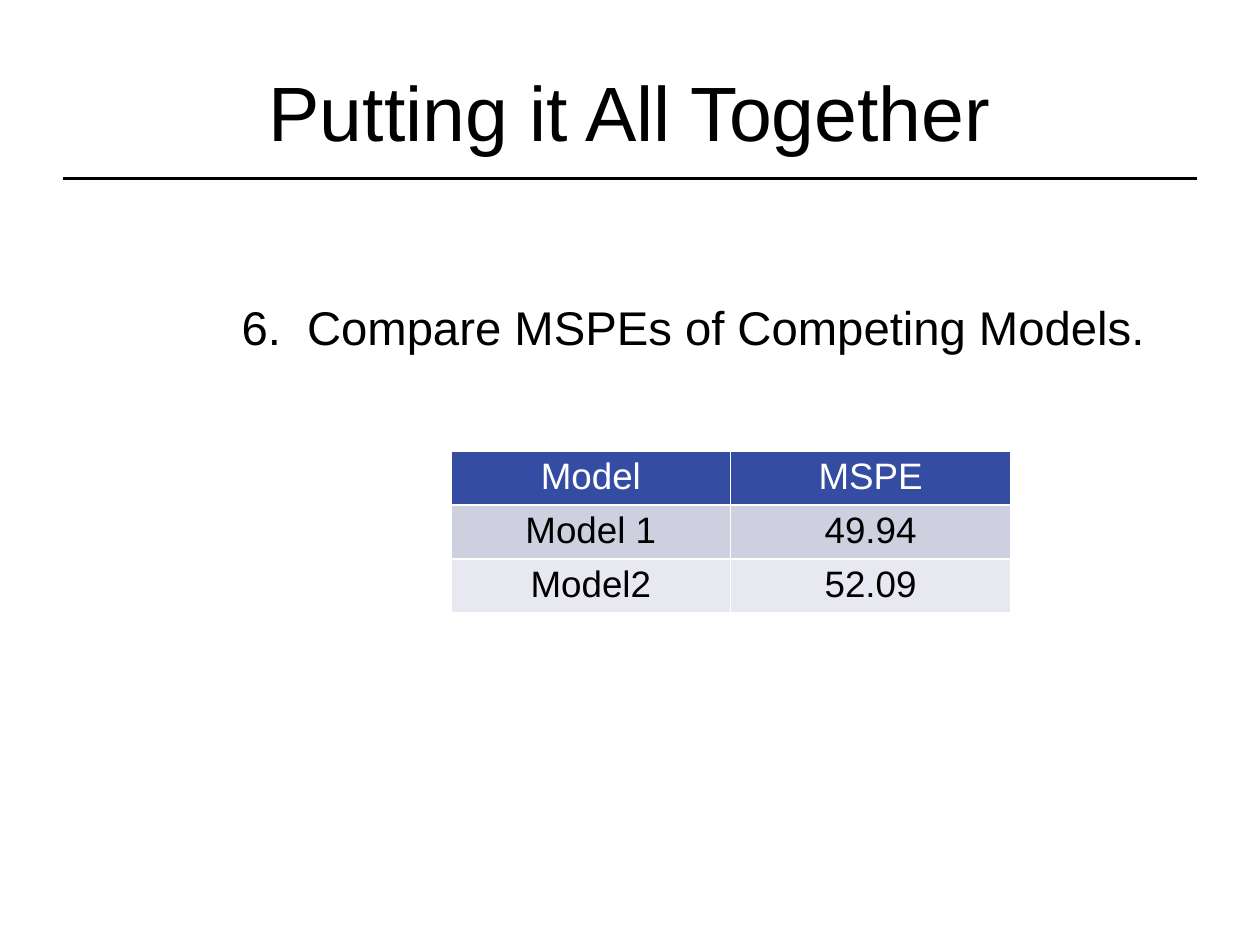
from lxml.etree import SubElement
from pptx import Presentation
from pptx.dml.color import RGBColor
from pptx.enum.shapes import MSO_CONNECTOR
from pptx.enum.text import MSO_ANCHOR, PP_ALIGN
from pptx.oxml.ns import qn
from pptx.util import Cm, Pt

TITLE = "Putting it All Together"
STEP = "6.\tCompare MSPEs of Competing Models."
ROWS = [("Model", "MSPE"), ("Model 1", "49.94"), ("Model2", "52.09")]
FILLS = ["344CA1", "CED0E0", "E8E9F0"]
INKS = ["FFFFFF", "000000", "000000"]
WIDE, HIGH = 5.64, 1.07


def paint(part, color):
    part.solid()
    part.fore_color.rgb = RGBColor.from_string(color)


def write(frame, text, size, color="000000", align=PP_ALIGN.CENTER):
    para = frame.paragraphs[0]
    para.text = text
    para.alignment = align
    para.font.name = "Arial"
    para.font.size = Pt(size)
    para.font.bold = False
    paint(para.font.fill, color)
    return para


def edge(cell, color="FFFFFF", width=1):
    props = cell._tc.get_or_add_tcPr()
    for spot, side in enumerate(("lnL", "lnR", "lnT", "lnB")):
        line = props.makeelement(qn(f"a:{side}"), {"w": str(Pt(width))})
        fill = SubElement(line, qn("a:solidFill"))
        SubElement(fill, qn("a:srgbClr"), val=color)
        props.insert(spot, line)


def main():
    deck = Presentation()
    deck.slide_width, deck.slide_height = Cm(25.4), Cm(19.05)
    slide = deck.slides.add_slide(deck.slide_layouts[5])

    rule = slide.shapes.add_connector(
        MSO_CONNECTOR.STRAIGHT, Cm(1.27), Cm(3.6), Cm(24.13), Cm(3.6))
    paint(rule.line.fill, "000000")
    rule.line.width = Pt(1.25)
    SubElement(rule._element.spPr, qn("a:effectLst"))

    title = slide.shapes.title
    title.left, title.top = Cm(1.27), Cm(0.64)
    title.width, title.height = Cm(22.86), Cm(3.18)
    title.text_frame.vertical_anchor = MSO_ANCHOR.MIDDLE
    write(title.text_frame, TITLE, 44)

    box = slide.shapes.add_textbox(Cm(4.62), Cm(5.89), Cm(20.22), Cm(1.42))
    box.text_frame.word_wrap = True
    step = write(box.text_frame, STEP, 27, align=PP_ALIGN.LEFT)
    props = step._p.get_or_add_pPr()
    props.set("marL", str(Cm(1.32)))
    props.set("indent", str(-Cm(1.32)))

    count = len(ROWS[0])
    table = slide.shapes.add_table(
        len(ROWS), count, Cm(9.09), Cm(9.09),
        Cm(WIDE * count), Cm(HIGH * len(ROWS))).table
    for col in table.columns:
        col.width = Cm(WIDE)
    for r, (row, fill, ink) in enumerate(zip(ROWS, FILLS, INKS)):
        table.rows[r].height = Cm(HIGH)
        for c, text in enumerate(row):
            cell = table.cell(r, c)
            cell.margin_left = cell.margin_right = Cm(0.18)
            cell.margin_top = cell.margin_bottom = Cm(0.1)
            paint(cell.fill, fill)
            edge(cell)
            write(cell.text_frame, text, 21, ink)

    deck.save("out.pptx")


if __name__ == "__main__":
    main()
